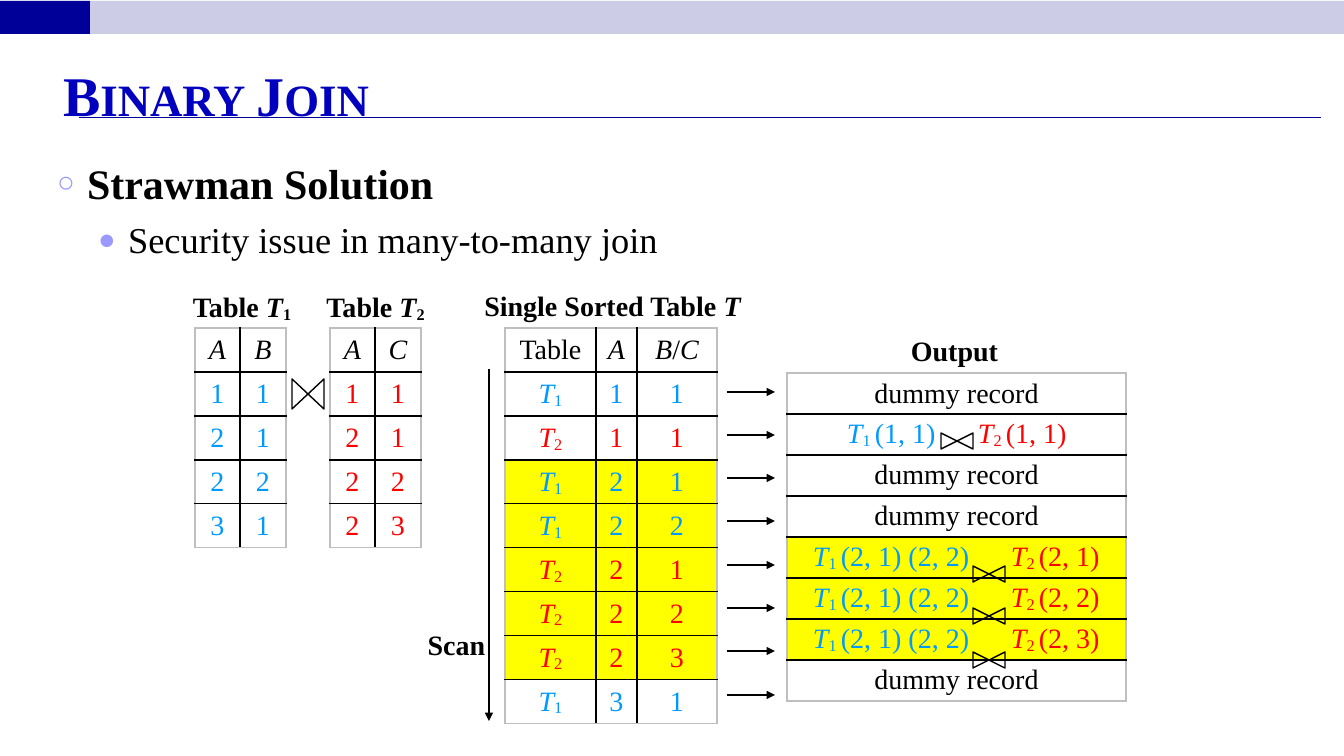
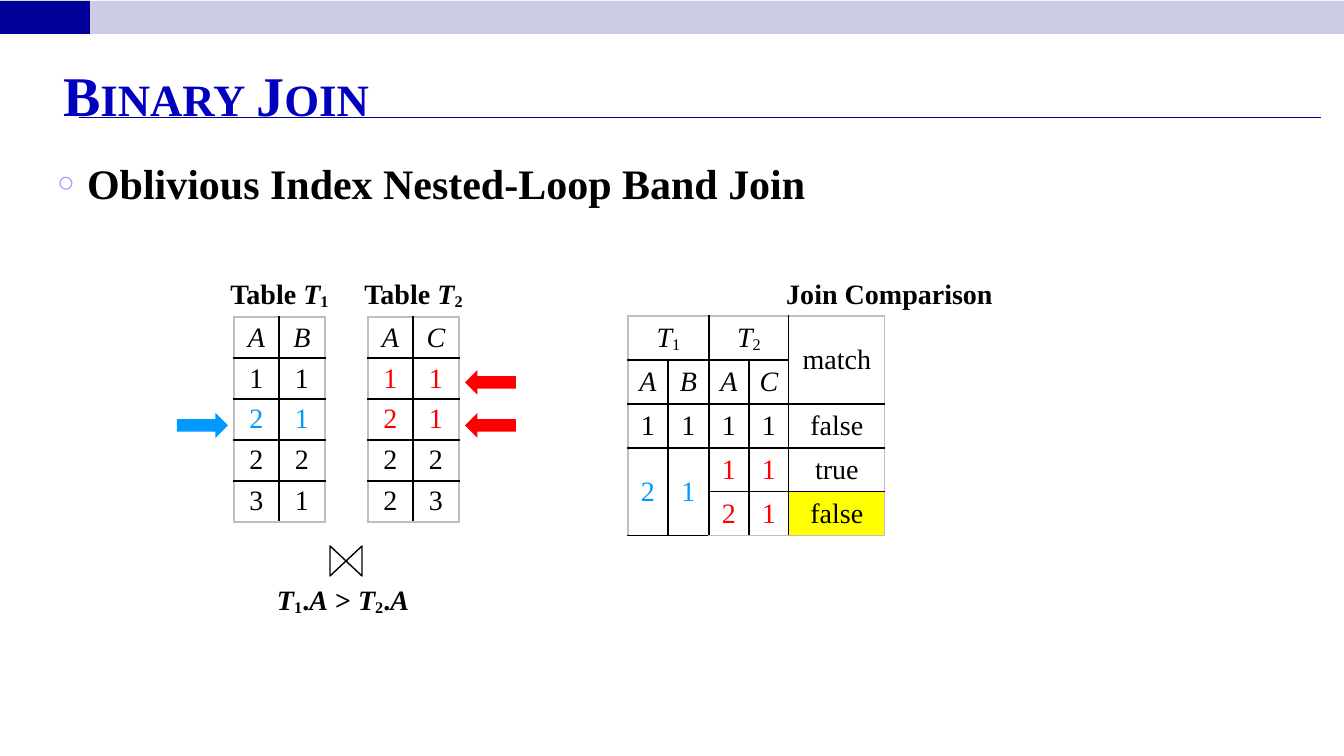
import lxml.etree
import pptx
import pptx.dml.color
import pptx.enum.shapes
import pptx.enum.text
import pptx.oxml.ns
import pptx.util

SCALE = 914400 / 100.8
FACE = "Times New Roman"
BLACK, BLUE, RED = "000000", "0099FF", "FF0000"
YELLOW, GREY = "FFFF00", "BFBFBF"
NAVY, PALE, INK, LILAC = "000099", "CCCCE6", "0000BE", "9999FF"
HUES = {"@": BLUE, "^": RED}
MARKS = "~_@^"
SHAPE = pptx.enum.shapes.MSO_SHAPE
ALIGN = pptx.enum.text.PP_ALIGN
MIDDLE = pptx.enum.text.MSO_ANCHOR.MIDDLE


def px(count):
    return pptx.util.Emu(round(count * SCALE))


def box(*sizes):
    return [px(size) for size in sizes]


def hue(code):
    return pptx.dml.color.RGBColor.from_string(code)


def node(parent, tag, **attrs):
    return lxml.etree.SubElement(parent, pptx.oxml.ns.qn(tag), attrs)


def style(font, size, color=BLACK, bold=False):
    font.name = FACE
    font.size = pptx.util.Pt(size)
    font.bold = bold
    font.color.rgb = hue(color)


def write(para, text, bold=False):
    # marks: see MARKS
    color = BLACK
    for piece in text.split("|"):
        words = piece.lstrip(MARKS)
        marks = piece[:len(piece) - len(words)]
        for mark in marks:
            color = HUES.get(mark, color)
        run = para.add_run()
        run.text = words
        style(run.font, 20, color, bold)
        run.font.italic = "~" in marks
        if "_" in marks:
            run.font._element.set("baseline", "-10000")


def label(slide, x, y, width, text):
    frame = slide.shapes.add_textbox(*box(x, y, width, 44)).text_frame
    frame.word_wrap = True
    para = frame.paragraphs[0]
    para.alignment = ALIGN.CENTER
    write(para, text, True)


def block(shapes, kind, x, y, width, height, fill=None, line=None):
    shape = shapes.add_shape(kind, *box(x, y, width, height))
    shape.shadow.inherit = False
    if fill:
        shape.fill.solid()
        shape.fill.fore_color.rgb = hue(fill)
    else:
        shape.fill.background()
    if line:
        shape.line.color.rgb = hue(line)
        shape.line.width = pptx.util.Pt(1)
    else:
        shape.line.fill.background()
    return shape


def rule(slide, x1, y1, x2, y2, color=BLACK, width=1, head=False):
    kind = pptx.enum.shapes.MSO_CONNECTOR.STRAIGHT
    line = slide.shapes.add_connector(kind, *box(x1, y1, x2, y2))
    line.line.color.rgb = hue(color)
    line.line.width = pptx.util.Pt(width)
    if head:
        node(line.element.spPr.find(pptx.oxml.ns.qn("a:ln")), "a:tailEnd", type="triangle")
    node(line.element.spPr, "a:effectLst")
    return line


def bowtie(slide, x, y, height):
    group = slide.shapes.add_group_shape()
    for side, turn in enumerate((90, 270)):
        mid = x + 8 + 16 * side
        wing = block(group.shapes, SHAPE.ISOSCELES_TRIANGLE, mid - height // 2,
                     y + height // 2 - 8, height, 16, line=BLACK)
        wing.rotation = turn


def border(cell, colors):
    props = cell._tc.get_or_add_tcPr()
    for side, color in zip("LRTB", colors):
        line = node(props, "a:ln" + side, w="12700")
        node(node(line, "a:solidFill"), "a:srgbClr", val=color)


def grid(slide, x, y, cols, high, rows, glow=(), spans=()):
    shape = slide.shapes.add_table(len(rows), len(cols),
                                   *box(x, y, sum(cols), high * len(rows)))
    table = shape.table
    table.first_row = table.horz_banding = False
    for col, width in zip(table.columns, cols):
        col.width = px(width)
    for r, texts in enumerate(rows):
        table.rows[r].height = px(high)
        for c, text in enumerate(texts):
            cell = table.cell(r, c)
            edges = (c == 0, c == len(cols) - 1, r == 0, r == len(rows) - 1)
            border(cell, [GREY if edge else BLACK for edge in edges])
            if (r, c) in glow:
                cell.fill.solid()
                cell.fill.fore_color.rgb = hue(YELLOW)
            else:
                cell.fill.background()
            cell.margin_left = cell.margin_right = 0
            cell.margin_top = cell.margin_bottom = 0
            cell.vertical_anchor = MIDDLE
            if text:
                para = cell.text_frame.paragraphs[0]
                para.alignment = ALIGN.CENTER
                write(para, text)
    for top, left, bottom, right in spans:
        table.cell(top, left).merge(table.cell(bottom, right))
    return table


def set_tab(cell, inset, stop):
    cell.margin_left = px(inset)
    para = cell.text_frame.paragraphs[0]
    para.alignment = ALIGN.LEFT
    tabs = node(para._p.get_or_add_pPr(), "a:tabLst")
    node(tabs, "a:tab", pos=str(px(stop)), algn="l")


def bullet(para, level):
    sign, size, indent, points, gap = (("○", 70, 30, 30, 0), ("●", 80, 71, 26, 7))[level]
    para.level = level
    props = para._p.get_or_add_pPr()
    props.set("marL", str(px(indent)))
    props.set("indent", str(px(-30)))
    node(node(props, "a:buClr"), "a:srgbClr", val=LILAC)
    node(props, "a:buSzPct", val=str(size * 1000))
    node(props, "a:buChar", char=sign)
    para.space_before = pptx.util.Pt(gap)
    para.alignment = ALIGN.LEFT
    style(para.runs[0].font, points, bold=level == 0)


def place(shape, *sizes):
    shape.left, shape.top, shape.width, shape.height = box(*sizes)


def theme(deck, slide):
    parts = [block(slide.shapes, SHAPE.RECTANGLE, 0, 1, 1344, 33, PALE),
             block(slide.shapes, SHAPE.RECTANGLE, 0, 1, 90, 33, NAVY),
             rule(slide, 79, 118, 1321, 118, NAVY, 0.75)]
    for i, part in enumerate(parts):
        part.element.xpath(".//p:cNvPr")[0].set("id", str(90 + i))
        deck.slide_master.shapes.element.insert(2 + i, part.element)


def open_slide(deck, points):
    slide = deck.slides.add_slide(deck.slide_layouts[1])
    head = slide.shapes.title.text_frame
    head.text = "Binary Join"
    para = head.paragraphs[0]
    para.alignment = ALIGN.LEFT
    style(para.runs[0].font, 40, INK, True)
    para.runs[0].font._element.set("cap", "small")
    body = slide.placeholders[1].text_frame
    body.text = "\n".join(points)
    for level, para in enumerate(body.paragraphs):
        bullet(para, level)
    return slide


def split(*lines):
    return [line.split() for line in lines]


def strawman(slide):
    label(slide, 175, 285, 134, "Table |~T|_1")
    label(slide, 315, 285, 121, "Table |~T|_2")
    label(slide, 466, 284, 293, "Single Sorted Table |~T")
    label(slide, 785, 329, 339, "Output")
    label(slide, 410, 623, 93, "Scan")
    grid(slide, 195, 328, (45, 46), 44, split("~A ~B", "@1 @1", "@2 @1", "@2 @2", "@3 @1"))
    grid(slide, 330, 328, (45, 46), 44, split("~A ~C", "^1 ^1", "^2 ^1", "^2 ^2", "^2 ^3"))
    bowtie(slide, 292, 379, 30)

    items = split("1 1 1", "2 1 1", "1 2 1", "1 2 2", "2 2 1", "2 2 2", "2 2 3", "1 3 1")
    rows = [["Table", "~A", "~B|/|~C"]]
    for source, key, value in items:
        mark = "@" if source == "1" else "^"
        rows.append([f"{mark}~T|_{source}", mark + key, mark + value])
    grid(slide, 505, 328, (91, 41, 80), 44, rows,
         [(r, c) for r in range(3, 8) for c in range(3)])
    rule(slide, 489, 369, 489, 721, head=True)
    for i in range(8):
        y = 392 + i * 303 // 7
        rule(slide, 727, y, 775, y, head=True)

    pairs = {1: ("(1, 1)", "(1, 1)")}
    for i in range(1, 4):
        pairs[3 + i] = ("(2, 1) (2, 2)", f"(2, {i})")
    rows = [["dummy record"] for _ in range(8)]
    for r, (left, right) in pairs.items():
        rows[r] = [f"@~T|_1 |{left}\t|^~T|_2 |{right}"]
    table = grid(slide, 787, 373, (339,), 41, rows, [(r, 0) for r in (4, 5, 6)])
    for r in pairs:
        set_tab(table.cell(r, 0), *((60, 131) if r == 1 else (26, 198)))
    for x, y in ((941, 433), (973, 566), (973, 608), (973, 652)):
        bowtie(slide, x, y, 16)


def band(slide):
    label(slide, 219, 272, 121, "Table |~T|_1")
    label(slide, 353, 272, 121, "Table |~T|_2")
    label(slide, 628, 272, 523, "Join Comparison")
    label(slide, 230, 578, 226, "~T|_1|.|~A| > |~T|_2|.|~A")
    grid(slide, 234, 317, (45, 46), 41, split("~A ~B", "1 1", "@2 @1", "2 2", "3 1"))
    grid(slide, 368, 317, (45, 46), 41, split("~A ~C", "^1 ^1", "^2 ^1", "2 2", "2 3"))
    rows = [["~T|_1", "", "~T|_2", "", "match"],
            ["~A", "~B", "~A", "~C", ""],
            ["1", "1", "1", "1", "false"],
            ["@2", "@1", "^1", "^1", "true"],
            ["", "", "^2", "^1", "false"]]
    grid(slide, 628, 316, (40, 41, 40, 40, 96), 44, rows, [(4, 4)],
         [(0, 0, 0, 1), (0, 2, 0, 3), (0, 4, 1, 4), (3, 0, 4, 0), (3, 1, 4, 1)])
    bowtie(slide, 330, 546, 30)
    block(slide.shapes, SHAPE.RIGHT_ARROW, 177, 413, 51, 25, BLUE)
    for y in (370, 413):
        block(slide.shapes, SHAPE.LEFT_ARROW, 465, y, 51, 25, RED)


def main():
    deck = pptx.Presentation()
    deck.slide_width, deck.slide_height = box(1344, 756)
    layout = deck.slide_layouts[1]
    place(layout.placeholders[0], 53, 57, 1235, 75)
    place(layout.placeholders[1], 47, 152, 1207, 548)
    first = open_slide(deck, ["Strawman Solution", "Security issue in many-to-many join"])
    theme(deck, first)
    strawman(first)
    band(open_slide(deck, ["Oblivious Index Nested-Loop Band Join"]))
    deck.save("out.pptx")


if __name__ == "__main__":
    main()
